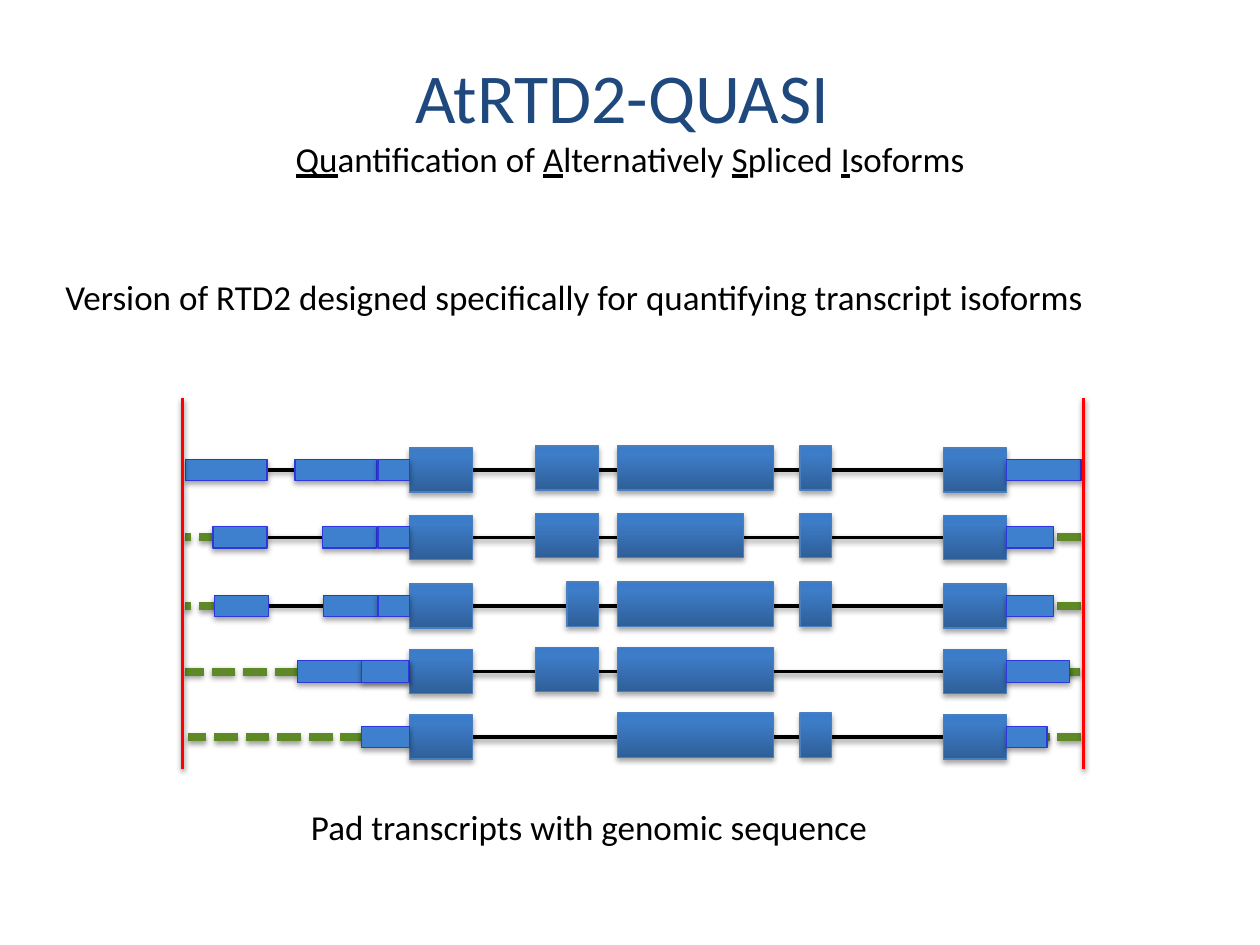
from lxml.etree import SubElement
from pptx import Presentation
from pptx.dml.color import RGBColor
from pptx.enum.dml import MSO_LINE
from pptx.enum.shapes import MSO_CONNECTOR, MSO_SHAPE
from pptx.enum.text import MSO_ANCHOR, PP_ALIGN
from pptx.oxml.ns import qn
from pptx.util import Inches, Pt

CELL = 0.1  # the slide is a grid of 100 columns by 75 rows
NAVY, BLACK, RED, GREEN = "1F497D", "000000", "FF0000", "5E8A26"
EXON_LINE, UTR_FILL, UTR_LINE = "4B7EBC", "3F80CE", "2E36DE"
EXON_STOPS = ((0, "2F5F99"), (80, "3D7CC7"), (100, "3A7CCB"))

EXON_HEIGHT, UTR_HEIGHT, INNER_RAISE = 3.5, 1.7, 0.15
FIRST, SECOND, THIRD, FOURTH, LAST = (18, 5), (28, 5), (34.5, 12.4), (49, 2.5), (60.4, 5)
SHORT_SECOND, SHORT_THIRD = (30.5, 2.5), (34.5, 10)
UTR3_START = LAST[0] + LAST[1]
JOINED_UTR = (15.5, 2.5)

# Columns count from the left marker, rows from the top of the markers.
TRANSCRIPTS = [
    dict(row=5.7, utr5=[(0.2, 6.5), (8.9, 6.5), JOINED_UTR], utr3=5.9,
         inner=[SECOND, THIRD, FOURTH], pads=[]),
    dict(row=11.05, utr5=[(2.4, 4.3), (11.1, 4.3), JOINED_UTR], utr3=3.7,
         inner=[SECOND, SHORT_THIRD, FOURTH], pads=[(3.2, 0.2), (71.3, 69.1)]),
    dict(row=16.5, utr5=[(2.5, 4.3), (11.2, 4.3), JOINED_UTR], utr3=3.7,
         inner=[SHORT_SECOND, THIRD, FOURTH], pads=[(3.2, 0.2), (71.3, 68.7)]),
    dict(row=21.7, utr5=[(9.1, 8.9), (14.2, 3.7)], utr3=5,
         inner=[SECOND, THIRD], pads=[(9.2, 0.2), (71.2, 68.6)]),
    dict(row=26.9, utr5=[(14.2, 3.8)], utr3=3.2,
         inner=[THIRD, FOURTH], pads=[(14.4, 0.4), (71.3, 67)]),
]


def cells(*counts):
    return [Inches(count * CELL) for count in counts]


def color(hex_string):
    return RGBColor.from_string(hex_string)


def add_color(parent, hex_string):
    return SubElement(parent, qn("a:srgbClr"), val=hex_string)


def cast_shadow(shape, distance, opacity):
    effects = SubElement(shape._element.spPr, qn("a:effectLst"))
    shadow = SubElement(effects, qn("a:outerShdw"), blurRad=str(Pt(3.1)),
                        dist=str(Pt(distance)), dir="5400000", rotWithShape="0")
    SubElement(add_color(shadow, BLACK), qn("a:alpha"), val=str(opacity * 1000))


def add_line(slide, start, end, hex_string, width=2, dash=None):
    line = slide.shapes.add_connector(MSO_CONNECTOR.STRAIGHT, *cells(*start, *end))
    line.line.color.rgb = color(hex_string)
    line.line.width = Pt(width)
    if dash:
        line.line.dash_style = dash
    cast_shadow(line, 1.6, 38)


def add_block(slide, left, middle, width, height, outline, fill=None, stops=()):
    block = slide.shapes.add_shape(
        MSO_SHAPE.RECTANGLE, *cells(left, middle - height / 2, width, height))
    if stops:
        block.fill.gradient()
        block.fill.gradient_angle = 90
        stop_list = block._element.spPr.find(".//" + qn("a:gsLst"))
        stop_list.clear()
        for share, hex_string in stops:
            add_color(SubElement(stop_list, qn("a:gs"), pos=str(share * 1000)), hex_string)
    else:
        block.fill.solid()
        block.fill.fore_color.rgb = color(fill)
    block.line.color.rgb = color(outline)
    block.line.width = Pt(0.75)
    cast_shadow(block, 1.8, 35)


def add_text(slide, box, lines, align=PP_ALIGN.LEFT, anchor=MSO_ANCHOR.TOP):
    """Each line is a list of (text, format) runs; the lines share one paragraph."""
    frame = slide.shapes.add_textbox(*cells(*box)).text_frame
    frame.word_wrap = True
    frame.vertical_anchor = anchor
    paragraph = frame.paragraphs[0]
    paragraph.alignment = align
    for number, runs in enumerate(lines):
        if number:
            paragraph.add_line_break()
        for text, style in runs:
            run = paragraph.add_run()
            run.text = text
            run.font.name = "Calibri"
            run.font.size = Pt(style.get("size", 20))
            run.font.color.rgb = color(style.get("color", BLACK))
            run.font.underline = style.get("underline", False)


def add_title(slide, box):
    expansion = [("Qu", "antification of "), ("A", "lternatively "),
                 ("S", "pliced "), ("I", "soforms")]
    subtitle = []
    for initial, rest in expansion:
        subtitle += [(initial, dict(underline=True)), (rest, {})]
    add_text(slide, box, [[("AtRTD2-QUASI ", dict(size=40, color=NAVY))], subtitle],
             align=PP_ALIGN.CENTER, anchor=MSO_ANCHOR.MIDDLE)


def add_transcript(slide, left, middle, utr5, utr3, inner):
    def add_intron(start, end):
        add_line(slide, (left + start, middle), (left + end, middle), BLACK)

    if len(utr5) == 3:
        add_intron(sum(utr5[0]), utr5[1][0])
    add_intron(utr5[:2][-1][0], UTR3_START + utr3)
    for exons, lift in ((inner, INNER_RAISE), ([FIRST, LAST], 0)):
        for start, width in exons:
            add_block(slide, left + start, middle - lift, width, EXON_HEIGHT,
                      EXON_LINE, stops=EXON_STOPS)
    for start, width in utr5 + [(UTR3_START, utr3)]:
        add_block(slide, left + start, middle, width, UTR_HEIGHT, UTR_LINE, fill=UTR_FILL)


def add_gene_diagram(slide, left, top, width, height):
    for transcript in TRANSCRIPTS:
        middle = top + transcript["row"]
        for start, end in transcript["pads"]:
            add_line(slide, (left + start, middle), (left + end, middle), GREEN,
                     width=4.5, dash=MSO_LINE.SQUARE_DOT)
    for transcript in TRANSCRIPTS:
        add_transcript(slide, left, top + transcript["row"], transcript["utr5"],
                       transcript["utr3"], transcript["inner"])
    for marker in (left, left + width):
        add_line(slide, (marker, top + height), (marker, top), RED)


def main():
    deck = Presentation()
    deck.slide_width, deck.slide_height = cells(100, 75)
    slide = deck.slides.add_slide(deck.slide_layouts[6])
    add_gene_diagram(slide, 14.5, 31.6, 71.5, 29.4)
    add_text(slide, (23.7, 63.4, 50.4, 4.4),
             [[("Pad transcripts with genomic sequence", {})]])
    add_title(slide, (5, 3, 90, 12.5))
    add_text(slide, (4.2, 21.4, 91.5, 4.4),
             [[("Version of RTD2 designed specifically for quantifying transcript isoforms", {})]])
    deck.save("out.pptx")


if __name__ == "__main__":
    main()
